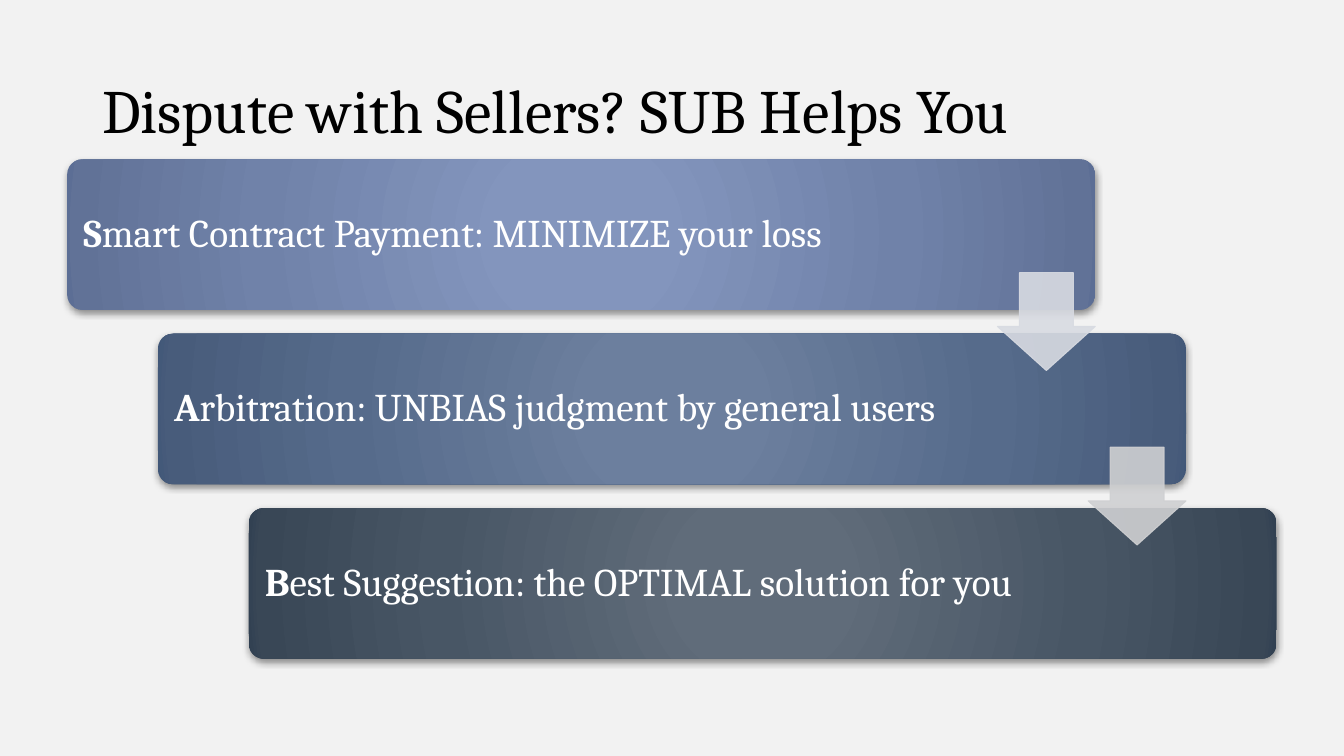
from lxml import etree
from pptx import Presentation
from pptx import util as u
from pptx.dml.color import RGBColor
from pptx.enum import shapes, text
from pptx.oxml.ns import qn

TITLE = "Dispute with Sellers? SUB Helps You"
STEPS = [
    {"initial": "S", "rest": "mart Contract Payment: MINIMIZE your loss", "text_width": 619.2,
     "shades": ["8496BE", "8395BD", "7082A9", "617297", "5C6E95"]},
    {"initial": "A", "rest": "rbitration: UNBIAS judgment by general users", "text_width": 594,
     "shades": ["6C7F9F", "6C7F9E", "566B8B", "485C7B", "415778"]},
    {"initial": "B", "rest": "est Suggestion: the OPTIMAL solution for you", "text_width": 594,
     "shades": ["616C7A", "606C7A", "485665", "394756", "2F3F51"]},
]
THEME = {
    "font": "Cambria", "background": "F2F2F2", "title": "000000", "label": "FFFFFF",
    "arrows": ["D8DBE2", "CFD0D2"], "shadow": "000000",
    "title_size": 44, "label_size": 28,
}
SHADE_STOPS = [0, 15, 62, 97, 100]
BAR_LEFT, BAR_TOP, BAR_WIDTH, BAR_HEIGHT = 48, 113.8, 734.4, 107.5
STEP_X, STEP_Y = 64.8, 124.6
LABEL_INSET = 3.2
ARROW_SIZE = 69.9
ARROW_TOP = 194.8


def add_xml(parent, tag, **attributes):
    return etree.SubElement(parent, qn(tag), {name: str(value) for name, value in attributes.items()})


def add_color(parent, color, alpha=None):
    element = add_xml(parent, "a:srgbClr", val=color)
    if alpha is not None:
        add_xml(element, "a:alpha", val=alpha * 1000)


def add_text(slide, runs, left, top, width, height, size, color, inset=(7.2, 3.6), space_after=0):
    box = slide.shapes.add_textbox(u.Pt(left), u.Pt(top), u.Pt(width), u.Pt(height))
    frame = box.text_frame
    frame.word_wrap = True
    frame.vertical_anchor = text.MSO_ANCHOR.MIDDLE
    frame.margin_left = frame.margin_right = u.Pt(inset[0])
    frame.margin_top = frame.margin_bottom = u.Pt(inset[1])
    paragraph = frame.paragraphs[0]
    paragraph.line_spacing = 0.9
    paragraph.space_after = u.Pt(space_after)
    for content, bold in runs:
        run = paragraph.add_run()
        run.text = content
        run.font.name = THEME["font"]
        run.font.size = u.Pt(size)
        run.font.bold = bold
        run.font.color.rgb = RGBColor.from_string(color)


def add_plain_shape(slide, kind, left, top, width, height, adjustments):
    shape = slide.shapes.add_shape(kind, u.Pt(left), u.Pt(top), u.Pt(width), u.Pt(height))
    shape.shadow.inherit = False
    for index, value in enumerate(adjustments):
        shape.adjustments[index] = value
    return shape


def add_bar(slide, left, top, shades):
    bar = add_plain_shape(slide, shapes.MSO_SHAPE.ROUNDED_RECTANGLE,
                          left, top, BAR_WIDTH, BAR_HEIGHT, [0.1])
    bar.line.fill.background()
    bar.fill.solid()
    properties = bar.element.spPr
    gradient = etree.Element(qn("a:gradFill"), rotWithShape="1")
    stops = add_xml(gradient, "a:gsLst")
    for position, shade in zip(SHADE_STOPS, shades):
        add_color(add_xml(stops, "a:gs", pos=position * 1000), shade)
    center = add_xml(gradient, "a:path", path="circle")
    add_xml(center, "a:fillToRect", l=50000, t=50000, r=50000, b=50000)
    properties.replace(properties.find(qn("a:solidFill")), gradient)
    shadow = add_xml(properties.find(qn("a:effectLst")), "a:outerShdw", blurRad=u.Pt(5),
                     dist=u.Pt(2), dir=90 * 60000, algn="ctr", rotWithShape=0)
    add_color(shadow, THEME["shadow"], 43)


def add_arrow(slide, left, top, color):
    arrow = add_plain_shape(slide, shapes.MSO_SHAPE.DOWN_ARROW,
                            left, top, ARROW_SIZE, ARROW_SIZE, [0.55, 0.45])
    arrow.line.width = u.Pt(0.75)
    for fill in (arrow.fill, arrow.line.fill):
        fill.solid()
        fill.fore_color.rgb = RGBColor.from_string(color)
    for element in arrow.element.spPr.iter(qn("a:srgbClr")):
        add_xml(element, "a:alpha", val=90000)


def main():
    presentation = Presentation()
    presentation.slide_width, presentation.slide_height = u.Pt(960), u.Pt(540)
    slide = presentation.slides.add_slide(presentation.slide_layouts[6])
    slide.background.fill.solid()
    slide.background.fill.fore_color.rgb = RGBColor.from_string(THEME["background"])

    add_text(slide, [(TITLE, False)], 66, 28.8, 828, 104.4, THEME["title_size"], THEME["title"])
    for index, step in enumerate(STEPS):
        left, top = BAR_LEFT + index * STEP_X, BAR_TOP + index * STEP_Y
        add_bar(slide, left, top, step["shades"])
        add_text(slide, [(step["initial"], True), (step["rest"], False)],
                 left + LABEL_INSET, top + LABEL_INSET,
                 step["text_width"], BAR_HEIGHT - 2 * LABEL_INSET,
                 THEME["label_size"], THEME["label"], inset=(8.4, 8.4), space_after=9.8)
    for index, color in enumerate(THEME["arrows"]):
        add_arrow(slide, BAR_LEFT + BAR_WIDTH - ARROW_SIZE + index * STEP_X,
                  ARROW_TOP + index * STEP_Y, color)
    presentation.save("out.pptx")


if __name__ == "__main__":
    main()
